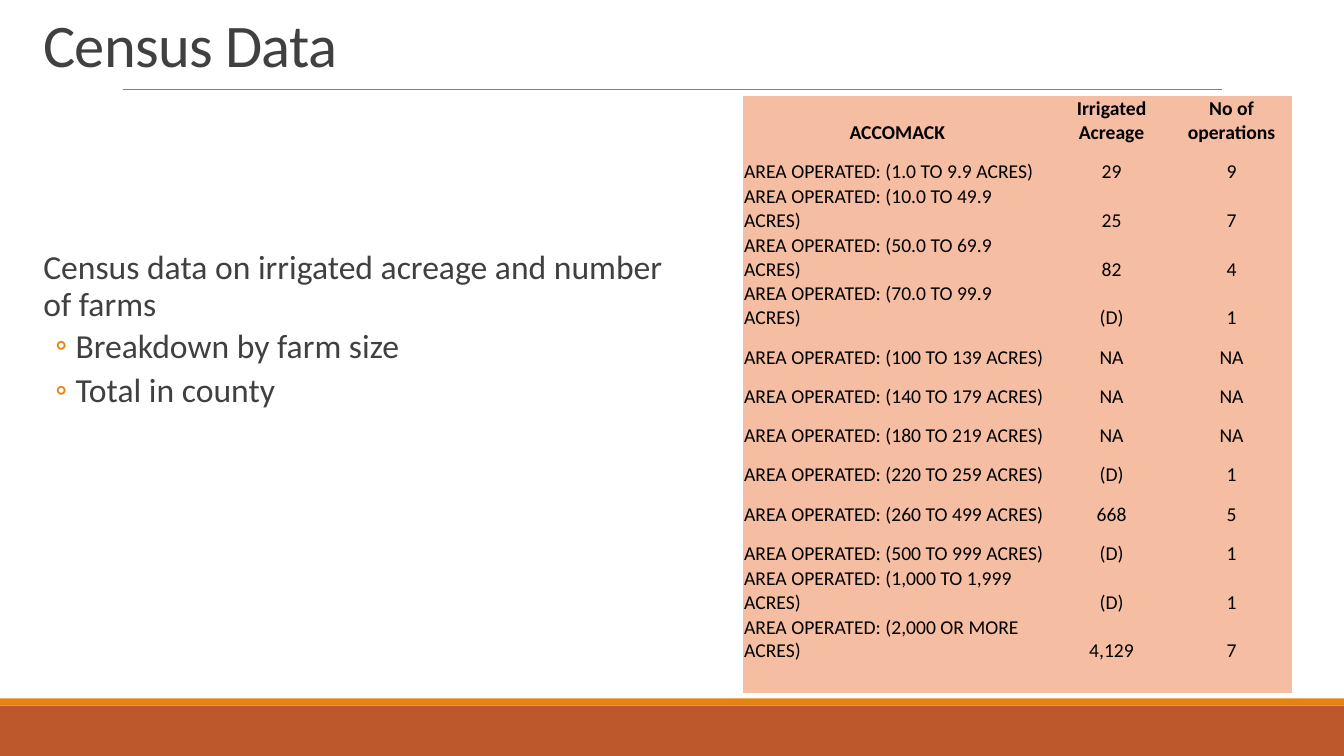
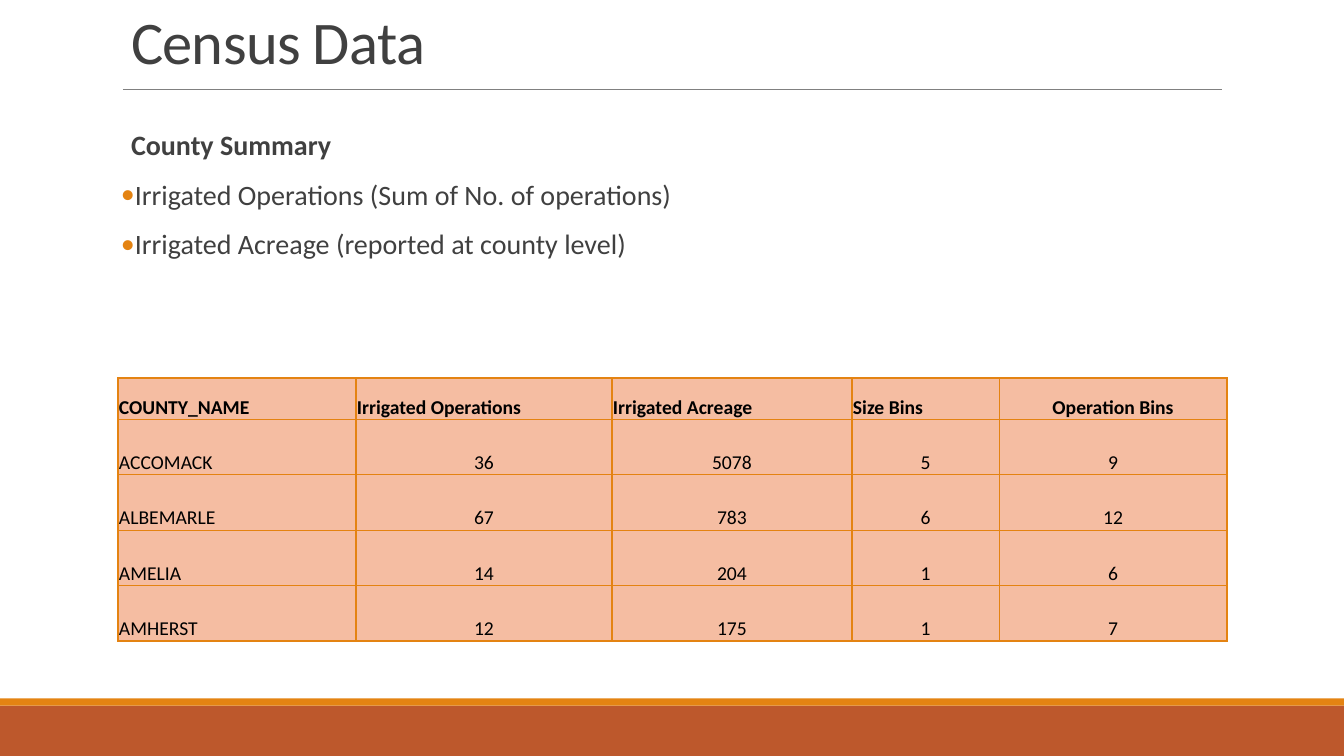
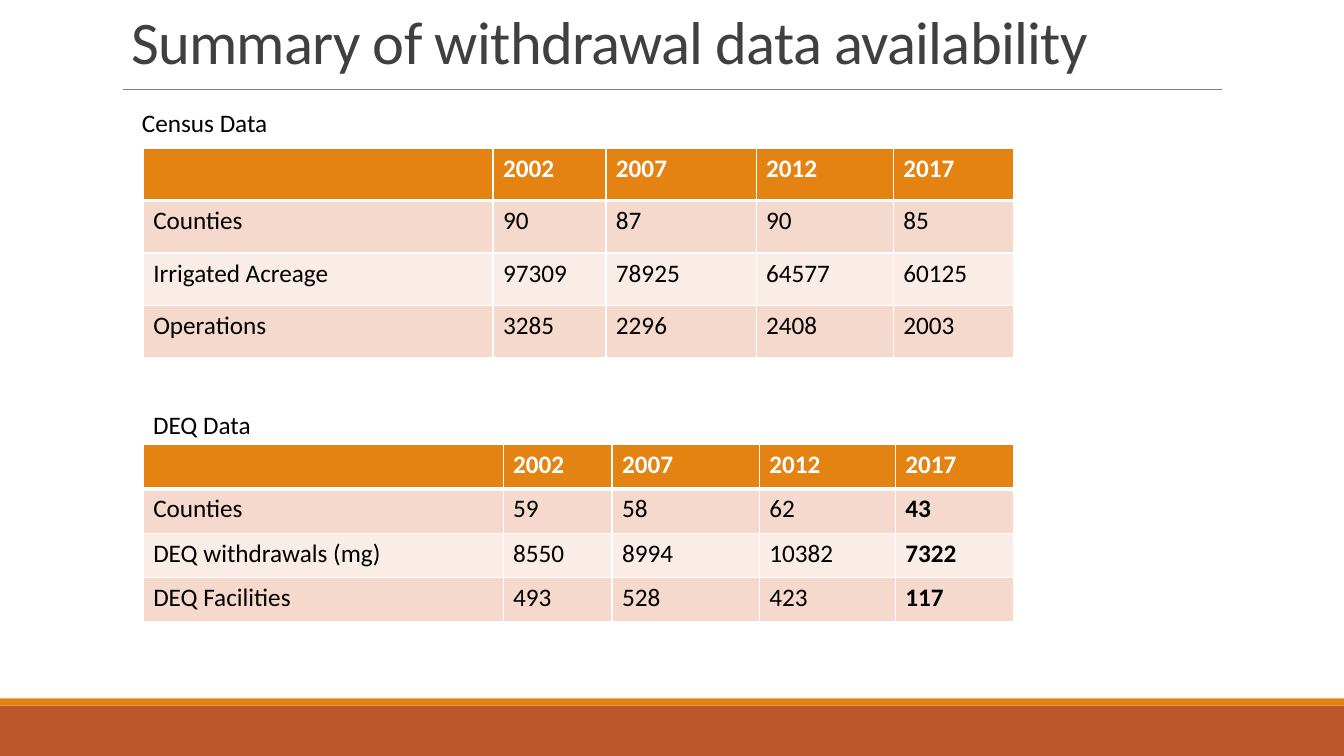
from pptx import Presentation
from pptx.dml.color import RGBColor
from pptx.enum.shapes import MSO_CONNECTOR, MSO_SHAPE
from pptx.enum.text import MSO_ANCHOR, MSO_AUTO_SIZE, PP_ALIGN
from pptx.oxml.ns import qn
from pptx.util import Inches, Pt
from lxml import etree

RECT, STRAIGHT = MSO_SHAPE.RECTANGLE, MSO_CONNECTOR.STRAIGHT
TOP, BOTTOM = MSO_ANCHOR.TOP, MSO_ANCHOR.BOTTOM
ALIGNS = {"l": PP_ALIGN.LEFT, "c": PP_ALIGN.CENTER}
NO_AUTOFIT = MSO_AUTO_SIZE.NONE

# Shared look
FONT = "Calibri"
RUST = RGBColor(0xBD, 0x58, 0x2C)
ORANGE = RGBColor(0xE4, 0x83, 0x12)
GRAY = RGBColor(0x80, 0x80, 0x80)
DARK = RGBColor(0x40, 0x40, 0x40)
BLACK = RGBColor(0, 0, 0)
WHITE = RGBColor(0xFF, 0xFF, 0xFF)
SALMON = RGBColor(0xF5, 0xBD, 0xA2)
BAND_DARK = RGBColor(0xF5, 0xD9, 0xCC)
BAND_LIGHT = RGBColor(0xFA, 0xED, 0xE7)
WIDTH, HEIGHT = 13.33, 7.5
TIGHT = (0.01, 0.01, 0.01, 0)
ROOMY = (0.1, 0.05, 0.1, 0.05)

# Content
FARM_SIZES = [
    ("ACCOMACK", "Irrigated Acreage", "No of operations"),
    ("1.0 TO 9.9", "29", "9"),
    ("10.0 TO 49.9", "25", "7"),
    ("50.0 TO 69.9", "82", "4"),
    ("70.0 TO 99.9", "(D)", "1"),
    ("100 TO 139", "NA", "NA"),
    ("140 TO 179", "NA", "NA"),
    ("180 TO 219", "NA", "NA"),
    ("220 TO 259", "(D)", "1"),
    ("260 TO 499", "668", "5"),
    ("500 TO 999", "(D)", "1"),
    ("1,000 TO 1,999", "(D)", "1"),
    ("2,000 OR MORE", "4,129", "7"),
]
COUNTIES = [
    ("COUNTY_NAME", "Irrigated Operations", "Irrigated Acreage", "Size Bins", "Operation Bins"),
    ("ACCOMACK", "36", "5078", "5", "9"),
    ("ALBEMARLE", "67", "783", "6", "12"),
    ("AMELIA", "14", "204", "1", "6"),
    ("AMHERST", "12", "175", "1", "7"),
]
YEARS = ("", "2002", "2007", "2012", "2017")
CENSUS = [
    YEARS,
    ("Counties", "90", "87", "90", "85"),
    ("Irrigated Acreage", "97309", "78925", "64577", "60125"),
    ("Operations", "3285", "2296", "2408", "2003"),
]
DEQ = [
    YEARS,
    ("Counties", "59", "58", "62", "43"),
    ("DEQ withdrawals (mg)", "8550", "8994", "10382", "7322"),
    ("DEQ Facilities", "493", "528", "423", "117"),
]
# Body lines: text, bullet, left margin, hanging indent, space before, space after, bold
BREAKDOWN = [
    ("Census data on irrigated acreage and number of farms", None, 0.1, 0, 12, 2, False),
    ("Breakdown by farm size", "◦", 0.42, 0.2, 2, 4, False),
    ("Total in county", "◦", 0.42, 0.2, 2, 4, False),
]
SUMMARY = [
    ("County Summary", None, 0.1, 0, 12, 2, True),
    ("Irrigated Operations (Sum of No. of operations)", "•", 0.1, 0.1, 12, 2, False),
    ("Irrigated Acreage (reported at county level)", "•", 0.1, 0.1, 12, 2, False),
]


def write(p, text, size=18, color=BLACK, bold=False, align="l", line=None,
          before=None, after=None, tracking=None):
    p.alignment = ALIGNS[align]
    p.line_spacing = line
    p.space_before = None if before is None else Pt(before)
    p.space_after = None if after is None else Pt(after)
    r = p.add_run()
    r.text = text
    r.font.name, r.font.size, r.font.bold = FONT, Pt(size), bold
    r.font.color.rgb = color
    if tracking is not None:
        r.font._element.set("spc", str(int(tracking * 100)))


def set_frame(tf, insets=ROOMY, anchor=TOP):
    tf.word_wrap = True
    tf.auto_size = NO_AUTOFIT
    tf.vertical_anchor = anchor
    tf.margin_left, tf.margin_top, tf.margin_right, tf.margin_bottom = map(Inches, insets)


def set_bullet(p, char, margin, hanging):
    pPr = p._p.get_or_add_pPr()
    pPr.set("marL", str(Inches(margin)))
    pPr.set("indent", str(-Inches(hanging)))
    if char is None:
        etree.SubElement(pPr, qn("a:buNone"))
        return
    color = etree.SubElement(pPr, qn("a:buClr"))
    etree.SubElement(color, qn("a:srgbClr")).set("val", str(ORANGE))
    etree.SubElement(pPr, qn("a:buFont")).set("typeface", FONT)
    etree.SubElement(pPr, qn("a:buChar")).set("char", char)


def add_text_box(slide, box):
    sp = slide.shapes.add_textbox(*map(Inches, box))
    return sp.text_frame


def add_label(slide, text, left, top):
    tf = add_text_box(slide, (left, top, 1.9, 0.4))
    set_frame(tf)
    write(tf.paragraphs[0], text)


def add_body(slide, lines, box, size):
    tf = add_text_box(slide, box)
    set_frame(tf, (0, 0.05, 0, 0.05))
    for i, (text, char, margin, hanging, before, after, bold) in enumerate(lines):
        p = tf.paragraphs[0] if i == 0 else tf.add_paragraph()
        write(p, text, size=size, color=DARK, bold=bold, line=0.9, before=before, after=after)
        set_bullet(p, char, margin, hanging)


def set_borders(cell, color, top=1, bottom=1):
    tcPr = cell._tc.get_or_add_tcPr()
    for side, points in (("L", 1), ("R", 1), ("T", top), ("B", bottom)):
        ln = etree.SubElement(tcPr, qn("a:ln" + side))
        if color is None:
            etree.SubElement(ln, qn("a:noFill"))
            continue
        ln.set("w", str(Pt(points)))
        fill = etree.SubElement(ln, qn("a:solidFill"))
        etree.SubElement(fill, qn("a:srgbClr")).set("val", str(color))


def add_table(slide, rows, left, top, widths, heights, fills, border=None, header_rule=1,
              header_color=BLACK, size=14, insets=TIGHT, anchor=BOTTOM,
              header_aligns=None, aligns=None, bold_column=None):
    """fills holds the header fill, then the body fills, taken in turn."""
    n = len(widths)
    table = slide.shapes.add_table(len(rows), n, Inches(left), Inches(top),
                                   Inches(sum(widths)), Inches(sum(heights))).table
    table.first_row, table.horz_banding = header_rule > 1, False
    for column, width in zip(table.columns, widths):
        column.width = Inches(width)
    for i, (row, height) in enumerate(zip(rows, heights)):
        table.rows[i].height = Inches(height)
        row_aligns = (aligns if i else header_aligns) or "l" * n
        for j, text in enumerate(row):
            cell = table.cell(i, j)
            set_borders(cell, border, top=header_rule if i == 1 else 1,
                        bottom=header_rule if i == 0 else 1)
            cell.fill.solid()
            cell.fill.fore_color.rgb = fills[1 + (i - 1) % (len(fills) - 1)] if i else fills[0]
            cell.vertical_anchor = anchor
            (cell.margin_left, cell.margin_top,
             cell.margin_right, cell.margin_bottom) = map(Inches, insets)
            write(cell.text_frame.paragraphs[0], text, size=size, align=row_aligns[j],
                  color=BLACK if i else header_color, bold=i == 0 or j == bold_column)


def add_band(slide, top, height, color):
    sp = slide.shapes.add_shape(RECT, 0, Inches(top), Inches(WIDTH), Inches(height))
    sp.shadow.inherit = False
    sp.fill.solid()
    sp.fill.fore_color.rgb = color
    sp.line.fill.background()


def add_slide(prs, title, left=1.2, top=0.11):
    slide = prs.slides.add_slide(prs.slide_layouts[5])
    add_band(slide, 7, 0.5, RUST)
    add_band(slide, 6.93, 0.07, ORANGE)
    rule = slide.shapes.add_connector(STRAIGHT, Inches(1.22), Inches(0.89),
                                      Inches(12.12), Inches(0.89))
    rule.line.color.rgb, rule.line.width = GRAY, Pt(0.5)
    etree.SubElement(rule._element.spPr, qn("a:effectLst"))
    sp = slide.shapes.title
    sp.left, sp.top, sp.width, sp.height = map(Inches, (left, top, 11, 0.7))
    set_frame(sp.text_frame, anchor=BOTTOM)
    write(sp.text_frame.paragraphs[0], title, size=43.2, color=DARK, line=0.85, tracking=-0.5)
    return slide


def main():
    prs = Presentation()
    prs.slide_width, prs.slide_height = Inches(WIDTH), Inches(HEIGHT)

    # Farm sizes in one county
    slide = add_slide(prs, "Census Data", left=0.33, top=0.14)
    add_body(slide, BREAKDOWN, (0.33, 2.44, 6.33, 2.82), 24)
    areas = [(f"AREA OPERATED: ({area} ACRES)", *values) for area, *values in FARM_SIZES[1:]]
    rows = [FARM_SIZES[0], *areas, ("", "", "")]
    two_lines = {0, 2, 3, 4, 11, 12}
    heights = [0.48 if i in two_lines else 0.39 for i in range(len(rows) - 1)] + [0.3]
    add_table(slide, rows, 7.37, 0.95, (3.06, 1.19, 1.19), heights, (SALMON, SALMON),
              header_aligns="ccc", aligns="lcc")

    # County summary
    slide = add_slide(prs, "Census Data")
    add_body(slide, SUMMARY, (1.2, 1.25, 11, 2.35), 20)
    add_table(slide, COUNTIES, 1.17, 3.75, (2.36, 2.54, 2.38, 1.46, 2.26),
              [0.41] + [0.55] * 4, (SALMON, SALMON), border=ORANGE,
              header_aligns="llllc", aligns="lcccc")

    # Data availability by year
    slide = add_slide(prs, "Summary of withdrawal data availability")
    yearly = dict(fills=(ORANGE, BAND_DARK, BAND_LIGHT), border=WHITE, header_rule=3,
                  header_color=WHITE, size=18, insets=ROOMY, anchor=TOP)
    add_table(slide, CENSUS, 1.42, 1.47, (3.47, 1.12, 1.49, 1.36, 1.19), [0.52] * 4, **yearly)
    add_table(slide, DEQ, 1.42, 4.41, (3.57, 1.08, 1.46, 1.35, 1.17), [0.44] * 4,
              bold_column=4, **yearly)
    add_label(slide, "Census Data", 1.31, 1.02)
    add_label(slide, "DEQ Data", 1.42, 4.01)

    prs.save("out.pptx")


if __name__ == "__main__":
    main()
